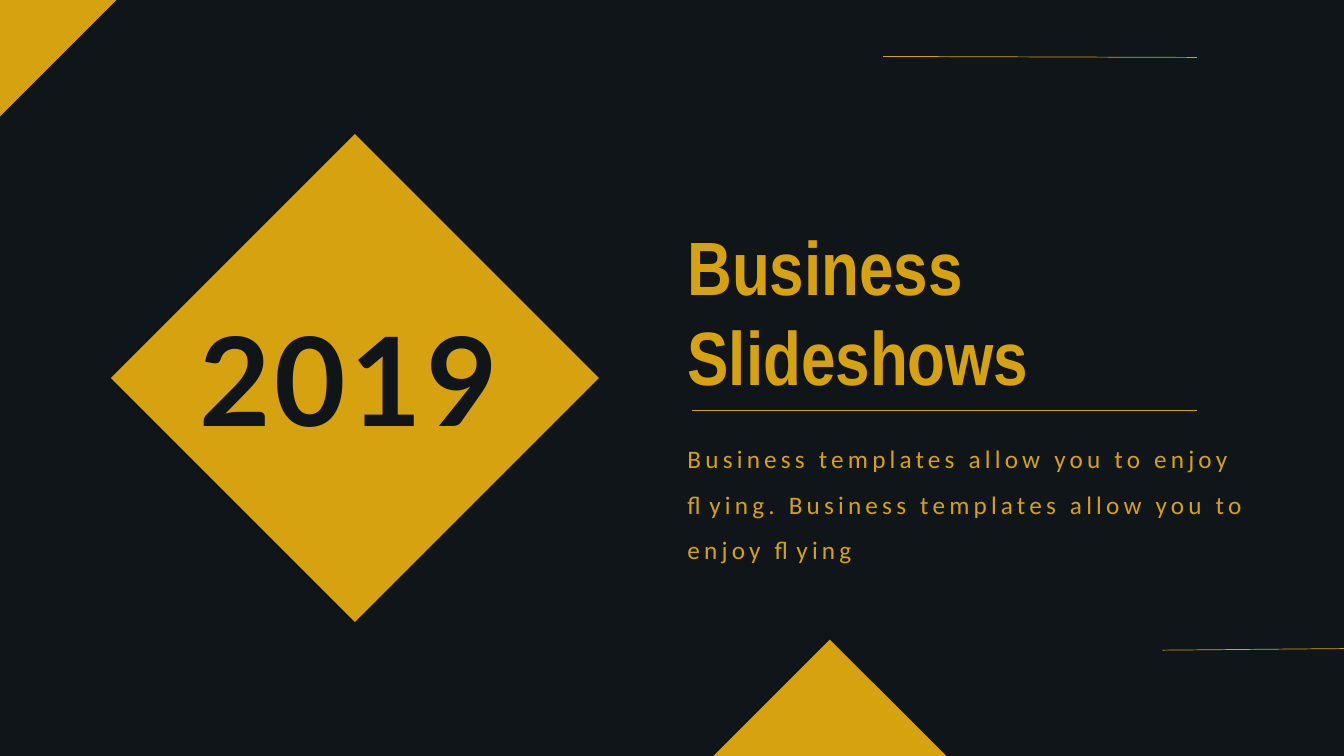
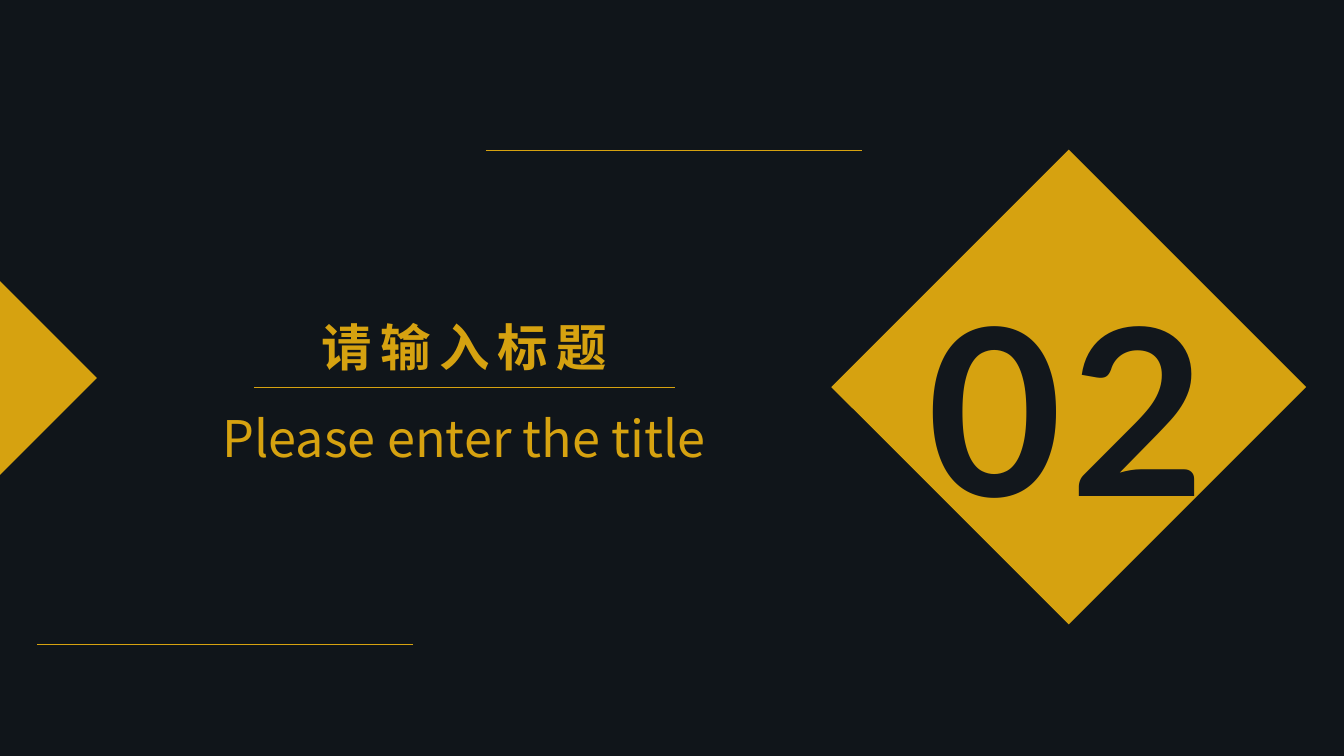
from pptx import Presentation
from pptx.dml.color import RGBColor as Rgb
from pptx.enum.shapes import MSO_CONNECTOR as Conn, MSO_SHAPE as Form
from pptx.enum.text import MSO_AUTO_SIZE as Fit, PP_ALIGN as Align
from pptx.oxml.ns import qn
from pptx.util import Inches, Pt
from lxml.etree import SubElement as sub

WIDE, HIGH = 13.33, 7.5
HUES = {"night": "10151A", "ink": "12171C", "gold": "D6A210"}


def hue(name):
    """Return the named colour."""
    return Rgb.from_string(HUES[name])


def page(deck):
    """Add a blank dark slide."""
    slide = deck.slides.add_slide(deck.slide_layouts[6])
    fill = slide.background.fill
    fill.solid()
    fill.fore_color.rgb = hue("night")
    return slide


def gem(slide, x, y, size):
    """Draw a gold diamond centred on x, y."""
    half = size / 2
    shape = slide.shapes.add_shape(
        Form.DIAMOND, *map(Inches, (x - half, y - half, size, size)))
    shape.shadow.inherit = False
    shape.fill.solid()
    shape.fill.fore_color.rgb = hue("gold")
    shape.line.fill.background()


def rule(slide, x, y, width, rise=0):
    """Draw a thin gold line from x, y."""
    line = slide.shapes.add_connector(
        Conn.STRAIGHT, *map(Inches, (x, y, x + width, y + rise)))
    line.line.color.rgb = hue("gold")
    line.line.width = Pt(0.5)
    sub(line._element.spPr, qn("a:effectLst"))


def write(slide, box, *lines, size, font, color="gold", bold=False,
          gap=0, lead=None, align=Align.LEFT):
    """Place lines of text; a (text, changes) pair overrides the format."""
    frame = slide.shapes.add_textbox(*map(Inches, box)).text_frame
    frame.word_wrap = True
    frame.auto_size = Fit.SHAPE_TO_FIT_TEXT
    for i, line in enumerate(lines):
        text, edits = line if isinstance(line, tuple) else (line, {})
        look = {"bold": bold, "gap": gap} | edits
        para = frame.add_paragraph() if i else frame.paragraphs[0]
        para.alignment = align
        if lead:
            para.line_spacing = lead
        run = para.add_run()
        run.text = text
        run.font.size = Pt(size)
        run.font.name = font
        run.font.bold = look["bold"]
        run.font.color.rgb = hue(color)
        props = run._r.get_or_add_rPr()
        props.set("spc", str(look["gap"] * 100))
        sub(props, qn("a:ea"), typeface=font)


def cover(slide):
    """Build the cover: year diamond at left, title at right."""
    gem(slide, 0, 0, 2.31)
    gem(slide, 8.23, HIGH, 2.31)
    gem(slide, 3.52, HIGH / 2, 4.84)
    left = 6.72
    write(slide, (left, 2.13, 6.11, 1.9), "Business", "Slideshows",
          size=54, font="Arial Narrow", bold=True)
    rule(slide, 6.86, 4.07, 5.01)
    text = "Business templates allow you to enjoy flying."
    write(slide, (left, 4.2, 6.53, 1.01), f"{text} {text[:-1]}",
          size=18, font="Calibri", gap=3, lead=1.5)
    write(slide, (1.88, 2.96, 3.3, 1.58), "2019", size=88, font="Lato",
          color="night", bold=True, gap=3)
    rule(slide, 8.76, 0.56, 3.11, 0.01)
    rule(slide, 11.53, 6.45, 2.29, -0.02)


def part(slide, code, head, note):
    """Build a section page: title at left, number diamond at right."""
    gem(slide, 0, HIGH / 2, 1.92)
    gem(slide, 10.6, 3.84, 4.71)
    write(slide, (9.1, 2.57, 3.02, 2.89), code, size=166, font="Lato",
          color="ink", bold=True, gap=6)
    write(slide, (1.75, 2.79, 5.71, 1.92), head,
          (note, {"bold": False, "gap": 0}), size=36,
          font="Noto Sans CJK SC", bold=True, gap=6, lead=1.5,
          align=Align.CENTER)
    rule(slide, 2.52, 3.84, 4.17)
    for x, y in ((4.82, 1.49), (0.37, 6.39)):
        rule(slide, x, y, 3.73)


def main():
    """Make and save the deck."""
    deck = Presentation()
    deck.slide_width, deck.slide_height = Inches(WIDE), Inches(HIGH)
    cover(page(deck))
    part(page(deck), "02", "请输入标题", "Please enter the title")
    deck.save("out.pptx")


if __name__ == "__main__":
    main()
